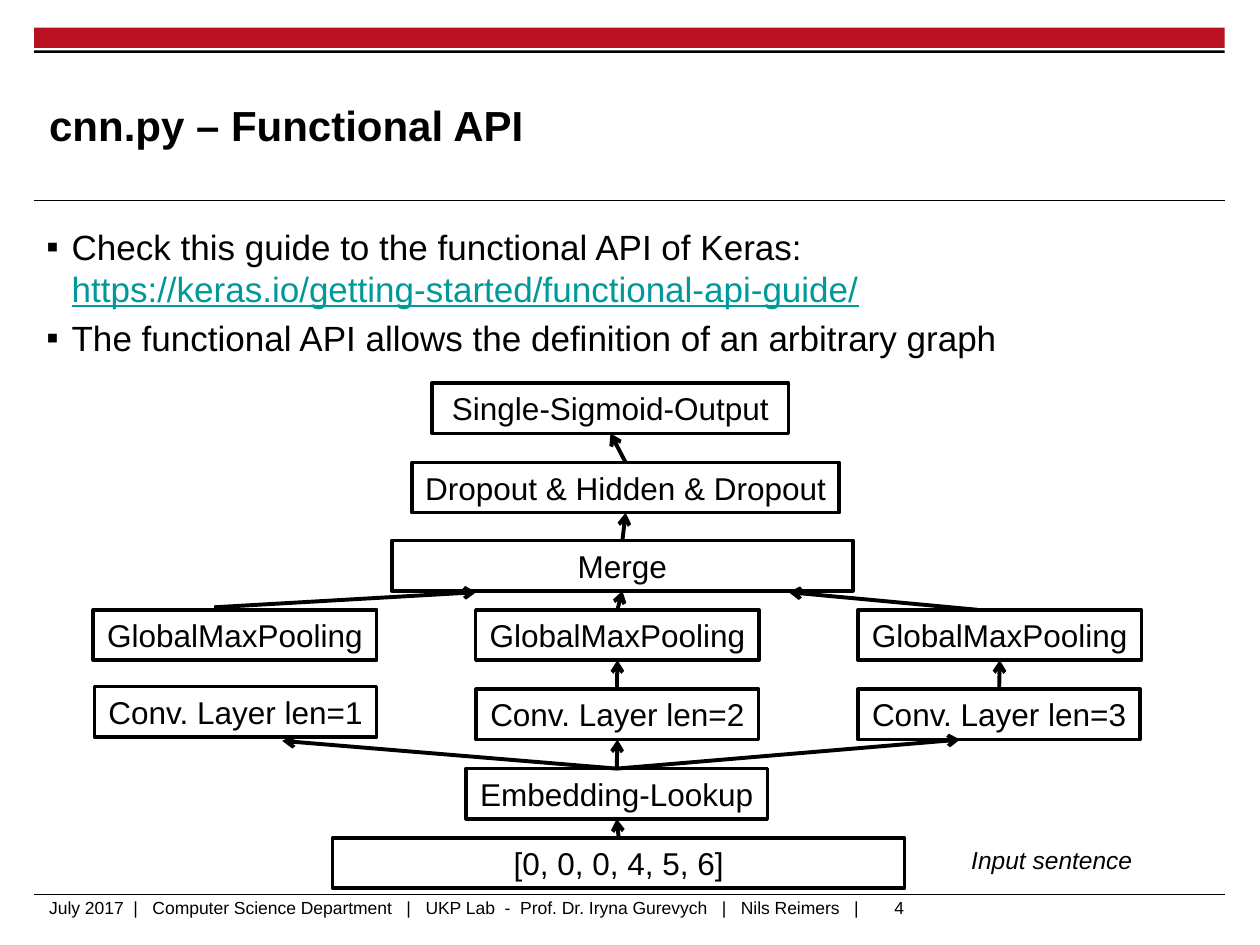
"""Build a slide showing a convolutional network as a functional API graph."""
from lxml.etree import SubElement
from pptx import Presentation
from pptx.dml.color import RGBColor
from pptx.enum.shapes import MSO_CONNECTOR, MSO_SHAPE
from pptx.enum.text import MSO_ANCHOR, PP_ALIGN
from pptx.oxml.ns import qn
from pptx.util import Inches, Pt


def write(para, text, size=18, color="000000", bold=False, italic=False, underline=False):
    """Add a formatted span to a paragraph."""
    span = para.add_run()
    span.text = text
    span.font.name = "Arial"
    span.font.size = Pt(size)
    span.font.bold = bold
    span.font.italic = italic
    span.font.underline = underline
    span.font.color.rgb = RGBColor.from_string(color)


def draw_line(start, end, width=2.25, arrow=True):
    """Draw a straight black line between two points in inches."""
    line = page.shapes.add_connector(
        MSO_CONNECTOR.STRAIGHT, *[Inches(value) for value in (*start, *end)])
    line.line.color.rgb = RGBColor.from_string("000000")
    line.line.width = Pt(width)
    if arrow:
        SubElement(line.line._get_or_add_ln(), qn("a:tailEnd"), type="arrow")
    SubElement(line._element.spPr, qn("a:effectLst"))
    return line


deck = Presentation()
deck.slide_width, deck.slide_height = Inches(10), Inches(7.5)
page = deck.slides.add_slide(deck.slide_layouts[5])

for top, height, color in [(0.22, 0.16, "B91022"), (0.4, 0.02, "000000")]:
    bar = page.shapes.add_shape(
        MSO_SHAPE.RECTANGLE, Inches(0.27), Inches(top), Inches(9.45), Inches(height))
    bar.shadow.inherit = False
    bar.fill.solid()
    bar.fill.fore_color.rgb = RGBColor.from_string(color)
    bar.line.fill.background()
for y in (1.59, 7.1):
    draw_line((0.27, y), (9.72, y), width=0.6, arrow=False)

title = page.shapes.title
title.left, title.top, title.width, title.height = [
    Inches(value) for value in (0.39, 0.53, 7.52, 0.92)]
frame = title.text_frame
frame.margin_left = frame.margin_right = frame.margin_top = frame.margin_bottom = 0
frame.vertical_anchor = MSO_ANCHOR.MIDDLE
frame.paragraphs[0].alignment = PP_ALIGN.LEFT
write(frame.paragraphs[0], "cnn.py – Functional API", size=24, bold=True)

body = page.shapes.add_textbox(Inches(0.27), Inches(1.74), Inches(9.45), Inches(1.22))
body.text_frame.word_wrap = True
guide = body.text_frame.paragraphs[0]
write(guide, "Check this guide to the functional API of Keras:", size=20)
guide.add_line_break()
write(guide, "https://keras.io/getting-started/functional-api-guide/",
      size=20, color="009999", underline=True)
graph = body.text_frame.add_paragraph()
write(graph, "The functional API allows the definition of an arbitrary graph", size=20)
for para in (guide, graph):
    para.space_before = Pt(4)
    properties = para._p.get_or_add_pPr()
    properties.set("marL", str(Inches(0.2)))
    properties.set("indent", str(-Inches(0.2)))
    SubElement(properties, qn("a:buFont"), typeface="Arial")
    SubElement(properties, qn("a:buChar"), char="▪")

layers = {
    "input": ("[0, 0, 0, 4, 5, 6]", 2.64, 6.65, 4.54),
    "embedding": ("Embedding-Lookup", 3.7, 6.1, 2.39),
    "merge": ("Merge", 3.11, 4.29, 3.66),
    "dropout": ("Dropout & Hidden & Dropout", 3.27, 3.67, 3.39),
    "output": ("Single-Sigmoid-Output", 3.43, 3.04, 2.83),
}
for length, (left, top) in enumerate([(0.75, 5.45), (3.78, 5.47), (6.81, 5.47)], start=1):
    layers[f"conv{length}"] = (f"Conv. Layer len={length}", left, top, 2.24)
    layers[f"pool{length}"] = ("GlobalMaxPooling", 0.74 + 3.035 * (length - 1), 4.84, 2.25)

boxes = {}
for name, (text, left, top, width) in layers.items():
    box = page.shapes.add_shape(
        MSO_SHAPE.RECTANGLE, Inches(left), Inches(top), Inches(width), Inches(0.4))
    box.shadow.inherit = False
    box.fill.solid()
    box.fill.fore_color.rgb = RGBColor.from_string("FFFFFF")
    box.line.color.rgb = RGBColor.from_string("000000")
    box.line.width = Pt(2)
    box.text_frame.word_wrap = False
    box.text_frame.vertical_anchor = MSO_ANCHOR.MIDDLE
    box.text_frame.paragraphs[0].alignment = PP_ALIGN.CENTER
    write(box.text_frame.paragraphs[0], text)
    boxes[name] = box

for source, target in [("input", "embedding"), ("embedding", "conv2"), ("conv2", "pool2"),
                       ("conv3", "pool3"), ("pool2", "merge"), ("merge", "dropout"),
                       ("dropout", "output")]:
    arrow = draw_line((0, 0), (0, 0))
    arrow.begin_connect(boxes[source], 0)
    arrow.end_connect(boxes[target], 2)
for end in [(2.24, 5.88), (7.62, 5.87)]:
    draw_line((4.9, 6.1), end).begin_connect(boxes["embedding"], 0)
draw_line((1.7, 4.82), (3.78, 4.7))
draw_line((7.76, 4.84), (6.26, 4.7))

footer = "July 2017  |   Computer Science Department   |   UKP Lab  -  Prof. Dr. Iryna Gurevych   |   Nils Reimers   |"
for text, left, top, width, height, margin, style in [
    (footer, 0.39, 7.12, 8.7, 0.25, 0, {"size": 10}),
    ("4", 7, 7.07, 0.48, 0.27, 0.05, {"size": 10}),
    ("Input sentence", 7.61, 6.66, 1.49, 0.34, 0.05, {"size": 14, "italic": True}),
]:
    label = page.shapes.add_textbox(Inches(left), Inches(top), Inches(width), Inches(height))
    frame = label.text_frame
    frame.word_wrap = True
    frame.margin_left = frame.margin_right = Inches(2 * margin)
    frame.margin_top = frame.margin_bottom = Inches(margin)
    write(frame.paragraphs[0], text, **style)

deck.save("out.pptx")
